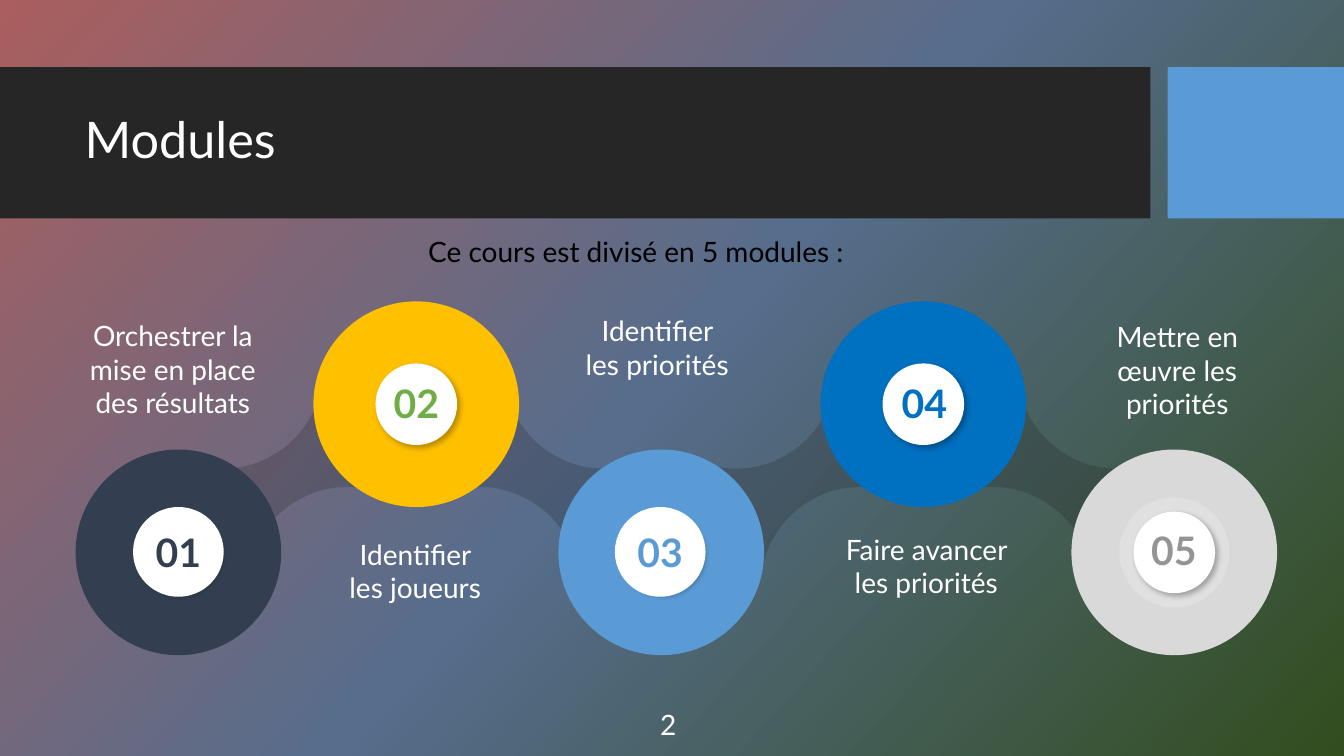
from copy import deepcopy
from dataclasses import dataclass

from lxml.etree import SubElement
from pptx import Presentation
from pptx.dml.color import RGBColor
from pptx.enum.shapes import MSO_SHAPE as Shape
from pptx.enum.text import MSO_ANCHOR as Anchor, PP_ALIGN as Align
from pptx.oxml.ns import qn
from pptx.util import Inches, Pt


@dataclass(frozen=True)
class Theme:
    font: str = "Lato"
    title_size: int = 36
    number_size: int = 28
    body_size: int = 20
    white: str = "FFFFFF"
    black: str = "000000"
    banner: str = "262626"
    accent: str = "5B9BD5"
    ribbon: str = "181717"
    navy: str = "333F50"
    gold: str = "FFC000"
    green: str = "70AD47"
    blue: str = "0070C0"
    silver: str = "D9D9D9"
    grey: str = "959595"
    background: tuple = ((0, "AA5E5E"), (0.5, "566D8C"), (1, "324D1E"))
    background_angle: int = 42


@dataclass(frozen=True)
class Box:
    left: float
    top: float
    width: float
    height: float

    def lengths(self):
        return [Inches(value) for value in (self.left, self.top, self.width, self.height)]

    def centred(self, width, height):
        """Box of the given size around the same centre."""
        return Box(self.left + (self.width - width) / 2,
                   self.top + (self.height - height) / 2, width, height)


@dataclass(frozen=True)
class Module:
    number: str
    label: str
    ring_box: Box
    badge_box: Box
    label_box: Box
    fill: str
    number_color: str
    filled_badge: bool = False
    pale_band: bool = False


THEME = Theme()
SLIDE_WIDTH, SLIDE_HEIGHT = 40 / 3, 7.5
RING, BAND, CORE = 2.04, 1.09, 0.81
RAISED, LOWERED = 2.99, 4.46
BADGE = (0.9, 0.89)
RIBBON_START, RIBBON_STEP, RIBBON_Y = 2.83, 2.545, 4.74
RIBBON_WIDTH, RIBBON_HEIGHT = 1.88, 1.75
MODULES = (
    Module("01", "Orchestrer la mise en place des résultats",
           Box(0.75, LOWERED, RING, RING), Box(1.32, 5.03, *BADGE), Box(0.62, 3.11, 2.19, 1.11),
           THEME.navy, THEME.navy, filled_badge=True),
    Module("02", "Identifier les joueurs",
           Box(3.11, RAISED, RING, RING), Box(3.68, 3.55, *BADGE), Box(3.29, 5.28, 1.66, 0.77),
           THEME.gold, THEME.green),
    Module("03", "Identifier les priorités",
           Box(5.54, LOWERED, RING, RING), Box(6.1, 5.03, *BADGE), Box(5.69, 3.06, 1.66, 1.11),
           THEME.accent, THEME.accent, filled_badge=True),
    Module("04", "Faire avancer les priorités",
           Box(8.14, RAISED, RING, RING), Box(8.72, 3.55, *BADGE), Box(8.1, 5.23, 2.18, 0.77),
           THEME.blue, THEME.blue),
    Module("05", "Mettre en œuvre les priorités",
           Box(10.63, LOWERED, RING, RING), Box(11.14, 4.95, 1.01, 1.01),
           Box(10.85, 3.12, 1.66, 1.11), THEME.silver, THEME.grey, pale_band=True),
)


def paint(shape, color, opacity=100):
    shape.shadow.inherit = False
    shape.line.fill.background()
    if color is None:
        shape.fill.background()
        return
    shape.fill.solid()
    shape.fill.fore_color.rgb = RGBColor.from_string(color)
    if opacity < 100:
        fill_color = shape._element.spPr.find(f"{qn('a:solidFill')}/{qn('a:srgbClr')}")
        SubElement(fill_color, qn("a:alpha"), val=str(opacity * 1000))


def add_filled(slide, preset, box, color, opacity=100):
    shape = slide.shapes.add_shape(preset, *box.lengths())
    paint(shape, color, opacity)
    return shape


def add_drop_shadow(shape):
    effects = shape._element.spPr.find(qn("a:effectLst"))
    shadow = SubElement(effects, qn("a:outerShdw"), blurRad=str(Pt(4)), dist=str(Pt(3)),
                        dir=str(45 * 60000), algn="tl", rotWithShape="0")
    color = SubElement(shadow, qn("a:srgbClr"), val=THEME.black)
    SubElement(color, qn("a:alpha"), val="27000")


def write(shape, text, size, color, align=Align.CENTER, anchor=Anchor.TOP, bold=False):
    frame = shape.text_frame
    frame.word_wrap = True
    frame.vertical_anchor = anchor
    paragraph = frame.paragraphs[0]
    paragraph.alignment = align
    run = paragraph.add_run()
    run.text = text
    run.font.name = THEME.font
    run.font.size = Pt(size)
    run.font.bold = bold
    run.font.color.rgb = RGBColor.from_string(color)
    return paragraph


def add_text(slide, box, *text_and_style, **layout):
    return write(slide.shapes.add_textbox(*box.lengths()), *text_and_style, **layout)


def set_background(slide):
    fill = slide.background.fill
    fill.gradient()
    fill.gradient_angle = 360 - THEME.background_angle
    stops = next(slide.element.iter(qn("a:gsLst")))
    stops.insert(1, deepcopy(stops[0]))
    for stop, (position, color) in zip(fill.gradient_stops, THEME.background):
        stop.position = position
        stop.color.rgb = RGBColor.from_string(color)


def add_banner(slide, box):
    accent_width, gap = 1.75, 0.17
    bar = Box(box.left, box.top, box.width - accent_width - gap, box.height)
    accent = Box(box.left + box.width - accent_width, box.top, accent_width, box.height)
    add_filled(slide, Shape.RECTANGLE, bar, THEME.banner)
    add_filled(slide, Shape.RECTANGLE, accent, THEME.accent)
    title = Box(box.left + 0.74, box.top + 0.15, 10.51, 1.18)
    paragraph = add_text(slide, title, "Modules", THEME.title_size, THEME.white,
                         align=Align.LEFT, anchor=Anchor.MIDDLE)
    paragraph.line_spacing = 0.9


def curve_segments(shape, first, count):
    """Turn each three line segments from the given one on into a cubic curve."""
    lines = list(shape._element.iter(qn("a:lnTo")))[first:first + 3 * count]
    for start in range(0, len(lines), 3):
        curve = lines[start]
        curve.tag = qn("a:cubicBezTo")
        for line in lines[start + 1:start + 3]:
            curve.append(line[0])
            line.getparent().remove(line)


def add_ribbon(slide, box, mirrored):
    """Band between two rings: one edge, then the same edge turned half round."""
    corners = [(-0.35, 0.87), (-0.94, -0.13), (-0.9, -0.13)]
    curves = [(-0.65, -0.06), (-0.37, -0.08), (-0.13, -0.22),
              (0.12, -0.36), (0.28, -0.59), (0.35, -0.85)]
    edge = corners + curves
    outline = edge + [(-x, -y) for x, y in edge]
    side = -1 if mirrored else 1
    centre_x, centre_y = box.left + box.width / 2, box.top + box.height / 2
    points = [(Inches(centre_x + side * x), Inches(centre_y + y)) for x, y in outline]
    builder = slide.shapes.build_freeform(*points[0])
    builder.add_line_segments(points[1:], close=True)
    ribbon = builder.convert_to_shape()
    for first in (len(edge) + len(corners) - 1, len(corners) - 1):
        curve_segments(ribbon, first, len(curves) // 3)
    paint(ribbon, THEME.ribbon, 20)


def add_ring(slide, module):
    box = module.ring_box
    add_filled(slide, Shape.OVAL, box, module.fill)
    band_paint = (THEME.white, 20) if module.pale_band else (module.fill,)
    add_filled(slide, Shape.OVAL, box.centred(BAND, BAND), *band_paint)
    core_color = module.fill if module.filled_badge else THEME.white
    add_drop_shadow(add_filled(slide, Shape.OVAL, box.centred(CORE, CORE), core_color))


def add_badge(slide, module):
    badge = add_filled(slide, Shape.OVAL, module.badge_box,
                       THEME.white if module.filled_badge else None)
    frame = badge.text_frame
    frame.margin_left = frame.margin_right = Inches(0.05)
    frame.margin_top = frame.margin_bottom = Inches(0.03)
    write(badge, module.number, THEME.number_size, module.number_color,
          anchor=Anchor.MIDDLE, bold=True)


def build_modules_slide(presentation):
    slide = presentation.slides.add_slide(presentation.slide_layouts[6])
    set_background(slide)
    add_banner(slide, Box(0, 2 / 3, SLIDE_WIDTH, 1.5))
    add_text(slide, Box(6.45, 7.08, 0.44, 0.21), "2", THEME.body_size, THEME.white,
             align=Align.LEFT, anchor=Anchor.MIDDLE)
    for index in range(len(MODULES) - 1):
        centre = Box(RIBBON_START + index * RIBBON_STEP, RIBBON_Y, 0, 0)
        add_ribbon(slide, centre.centred(RIBBON_WIDTH, RIBBON_HEIGHT), index % 2 == 1)
    for module in MODULES:
        add_ring(slide, module)
    for module in MODULES:
        add_text(slide, module.label_box, module.label, THEME.body_size, THEME.white)
    for module in MODULES:
        add_badge(slide, module)
    add_text(slide, Box(0.66, 2.28, 11.3, 0.44), "Ce cours est divisé en 5 modules :",
             THEME.body_size, THEME.black)


def main():
    presentation = Presentation()
    presentation.slide_width = Inches(SLIDE_WIDTH)
    presentation.slide_height = Inches(SLIDE_HEIGHT)
    build_modules_slide(presentation)
    presentation.save("out.pptx")


if __name__ == "__main__":
    main()
